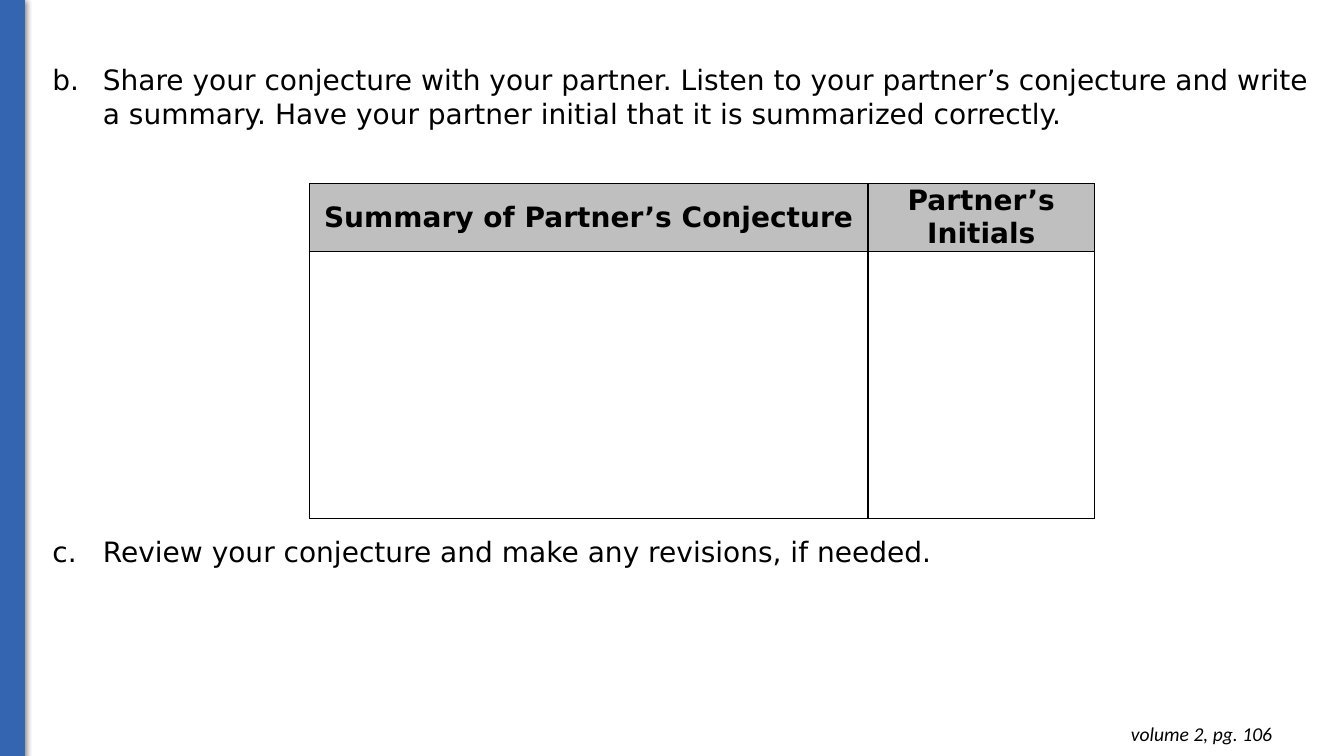
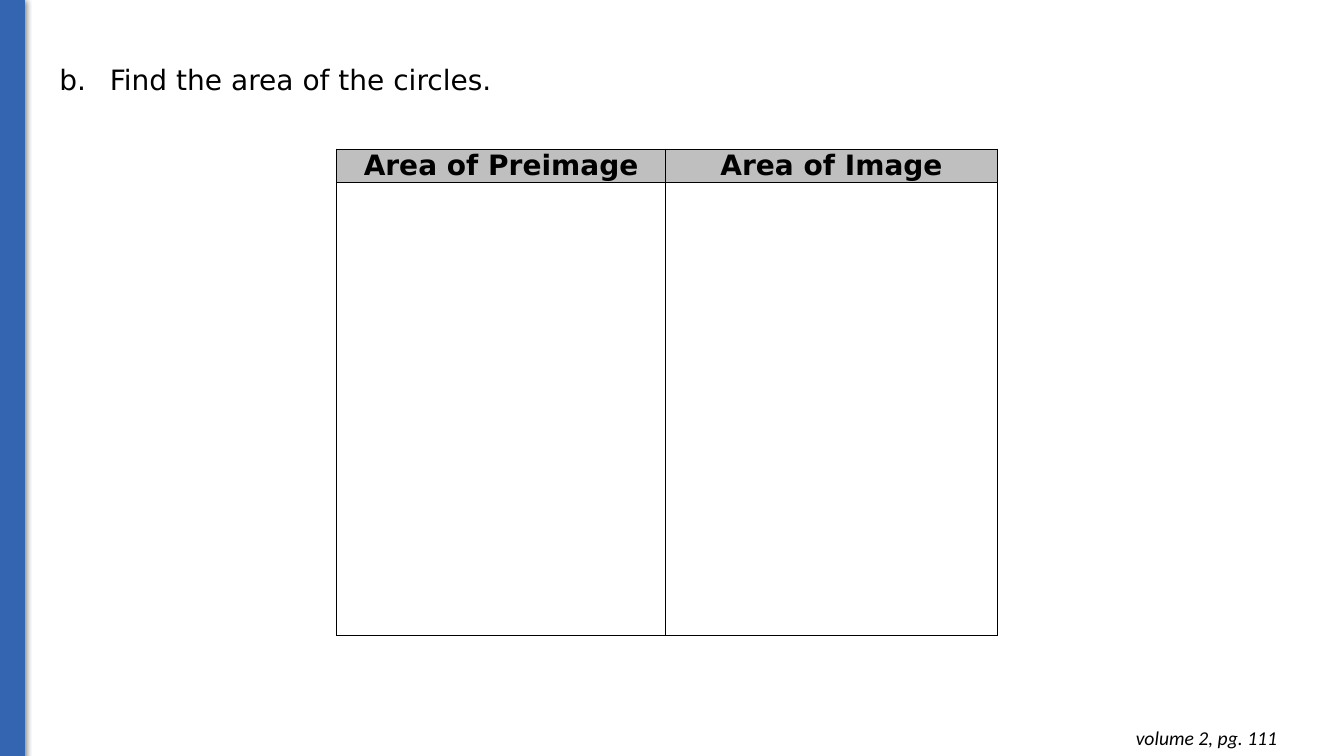
from dataclasses import dataclass

from lxml import etree
from pptx import Presentation
from pptx.dml.color import RGBColor
from pptx.enum import shapes, text
from pptx.oxml import ns, parse_xml
from pptx.util import Pt


# Theme: colours, fonts and type sizes
@dataclass(frozen=True)
class Theme:
    band: str = "3465B0"
    ink: str = "000000"
    header: str = "BFBFBF"
    body_font: str = "DejaVu Sans"
    footer_font: str = "Calibri"
    body_size: float = 20
    footer_size: float = 14


T = Theme()
SLIDE_W, SLIDE_H = 960, 540
INDENT = 36
BODY_TEXT = {"name": T.body_font, "size": Pt(T.body_size)}
HEADER_TEXT = {**BODY_TEXT, "bold": True}
FOOTER_TEXT = {"name": T.footer_font, "size": Pt(T.footer_size), "italic": True}


# Helpers
def apply(target, values):
    for name, value in values.items():
        setattr(target, name, value)


def write(p, content, font, **fmt):
    apply(p, fmt)
    r = p.add_run()
    r.text = content
    apply(r.font, font)
    r.font.color.rgb = RGBColor.from_string(T.ink)


def place(sp, box):
    apply(sp, dict(zip(("left", "top", "width", "height"), map(Pt, box))))


def paint(fill, color):
    fill.solid()
    fill.fore_color.rgb = RGBColor.from_string(color)


# Left band, drawn once on the shared layout
def add_band(layout, s):
    sp = s.shapes.add_shape(shapes.MSO_SHAPE.RECTANGLE,
                            Pt(0), Pt(-0.5), Pt(17.5), Pt(SLIDE_H + 1))
    paint(sp.fill, T.band)
    paint(sp.line.fill, T.band)
    sp.line.width = Pt(0.75)
    sp.element.spPr.append(parse_xml(
        f'<a:effectLst {ns.nsdecls("a")}>'
        f'<a:outerShdw blurRad="{Pt(4.5)}" dist="{Pt(1.5)}" dir="5400000" rotWithShape="0">'
        f'<a:srgbClr val="{T.ink}"><a:alpha val="50000"/></a:srgbClr>'
        '</a:outerShdw></a:effectLst>'))
    layout.element.cSld.spTree.append(sp.element)


# Lettered list in the body placeholder
def add_list(s, box, items, start, gap=0):
    sp = s.placeholders[1]
    place(sp, box)
    tf = sp.text_frame
    apply(tf, {"auto_size": text.MSO_AUTO_SIZE.NONE, "word_wrap": True,
               "vertical_anchor": text.MSO_ANCHOR.TOP})
    for i, item in enumerate(items):
        p = tf.add_paragraph() if i else tf.paragraphs[0]
        pPr = p._p.get_or_add_pPr()
        pPr.set("marL", str(Pt(INDENT)))
        pPr.set("indent", str(-Pt(INDENT)))
        color = etree.SubElement(pPr, ns.qn("a:buClr"))
        etree.SubElement(color, ns.qn("a:srgbClr"), val=T.ink)
        etree.SubElement(pPr, ns.qn("a:buFont"), typeface=T.body_font)
        etree.SubElement(pPr, ns.qn("a:buAutoNum"),
                         type="alphaLcPeriod", startAt=str(start))
        write(p, item, BODY_TEXT, alignment=text.PP_ALIGN.LEFT,
              line_spacing=1.0, space_before=Pt(gap if i else 0))


# Answer table: a header row over one empty row
def add_borders(cell):
    tcPr = cell._tc.get_or_add_tcPr()
    for i, side in enumerate("LRTB"):
        tcPr.insert(i, parse_xml(
            f'<a:ln{side} {ns.nsdecls("a")} w="{Pt(1)}"><a:solidFill>'
            f'<a:srgbClr val="{T.ink}"/></a:solidFill></a:ln{side}>'))


def add_answer_table(s, left, top, widths, heights, headers):
    frame = s.shapes.add_table(len(heights), len(widths), Pt(left), Pt(top),
                               Pt(sum(widths)), Pt(sum(heights)))
    table = frame.table
    apply(table, {"first_row": False, "horz_banding": False})
    for column, width in zip(table.columns, widths):
        column.width = Pt(width)
    for row, height in zip(table.rows, heights):
        row.height = Pt(height)
    for cell in table.iter_cells():
        cell.fill.background()
        add_borders(cell)
    for cell, header in zip(table.rows[0].cells, headers):
        paint(cell.fill, T.header)
        apply(cell, {"margin_left": Pt(5), "margin_right": Pt(5),
                     "margin_top": 0, "margin_bottom": 0,
                     "vertical_anchor": text.MSO_ANCHOR.MIDDLE})
        write(cell.text_frame.paragraphs[0], header, HEADER_TEXT,
              alignment=text.PP_ALIGN.CENTER)


# Page reference at the bottom right
def add_page_reference(s, left, top, page):
    sp = s.shapes.add_textbox(Pt(left), Pt(top), Pt(207.5), Pt(31.5))
    tf = sp.text_frame
    tf.word_wrap = True
    apply(tf, {f"margin_{side}": Pt(7.2)
               for side in ("left", "top", "right", "bottom")})
    write(tf.paragraphs[0], f"volume 2, pg. {page}", FOOTER_TEXT,
          alignment=text.PP_ALIGN.RIGHT)


def add_slide(prs, layout):
    s = prs.slides.add_slide(layout)
    title = s.shapes.title.element
    title.getparent().remove(title)
    return s


def main():
    prs = Presentation()
    apply(prs, {"slide_width": Pt(SLIDE_W), "slide_height": Pt(SLIDE_H)})
    layout = prs.slide_layouts[1]

    # Slide 1: partner's conjecture
    s = add_slide(prs, layout)
    add_band(layout, s)
    add_page_reference(s, 708.5, 508.5, 106)
    add_list(s, (30.25, 41, 918.75, 371), [
        "Share your conjecture with your partner. Listen to your partner’s "
        "conjecture and write a summary. Have your partner initial that it "
        "is summarized correctly.",
        "Review your conjecture and make any revisions, if needed.",
    ], start=2, gap=289)
    add_answer_table(s, 221, 131, (399, 162), (48.5, 191),
                     ("Summary of Partner’s Conjecture", "Partner’s Initials"))

    # Slide 2: area of the circles
    s = add_slide(prs, layout)
    add_page_reference(s, 712, 511, 111)
    add_list(s, (35.25, 41, 779, 31.5), ["Find the area of the circles."], start=2)
    add_answer_table(s, 240.5, 106.5, (235, 237), (23.5, 323.5),
                     ("Area of Preimage", "Area of Image"))

    prs.save("out.pptx")


if __name__ == "__main__":
    main()
